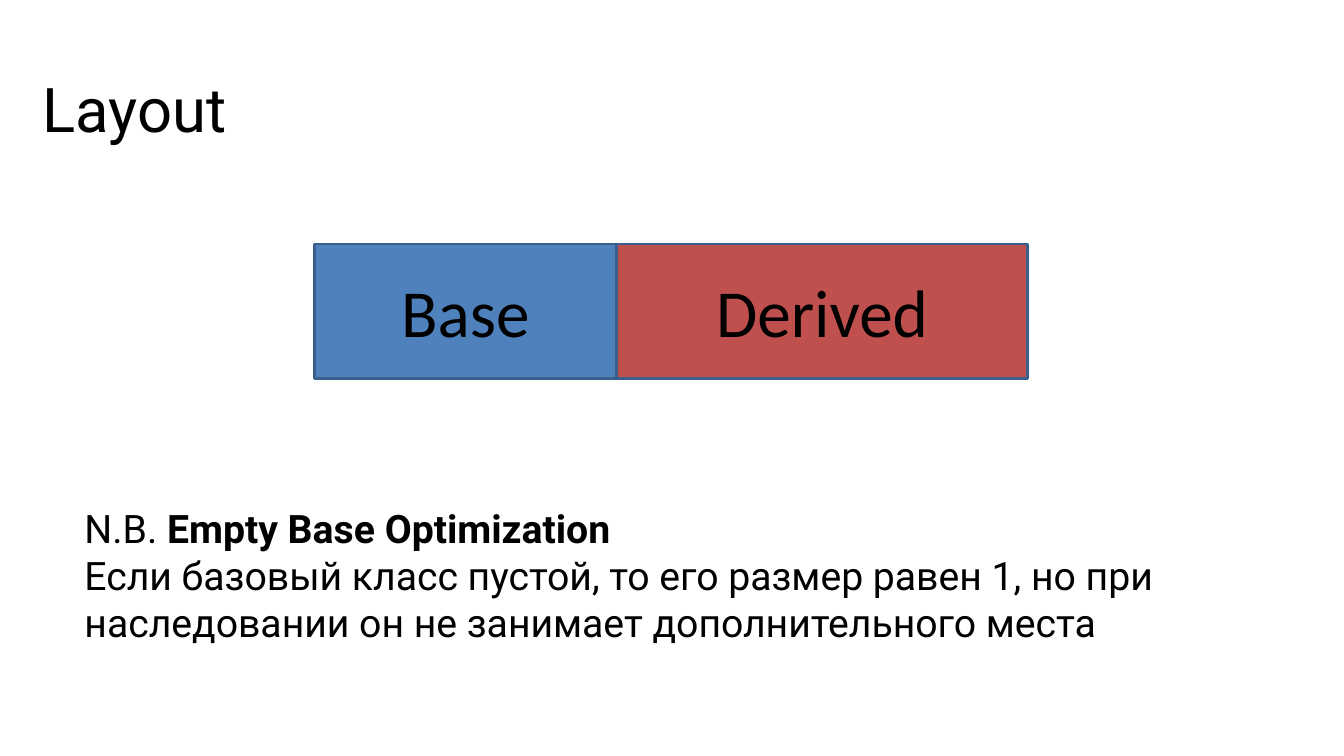
from dataclasses import dataclass

from pptx import Presentation
from pptx.dml.color import RGBColor
from pptx.enum.shapes import MSO_SHAPE as Preset
from pptx.enum.text import MSO_ANCHOR as Anchor, PP_ALIGN as Align
from pptx.util import Cm, Pt


@dataclass(frozen=True)
class Theme:
    ink: RGBColor = RGBColor(0x00, 0x00, 0x00)
    base: RGBColor = RGBColor(0x4F, 0x81, 0xBD)
    derived: RGBColor = RGBColor(0xC0, 0x50, 0x4D)
    outline: RGBColor = RGBColor(0x3A, 0x5F, 0x8C)
    text_font: str = "Roboto"
    block_font: str = "Calibri"
    title_size: Pt = Pt(44)
    note_size: Pt = Pt(28)
    block_size: Pt = Pt(48)
    outline_width: Pt = Pt(2)


THEME = Theme()


def style(run, font, size, bold=False):
    run.font.name = font
    run.font.size = size
    run.font.bold = bold
    run.font.color.rgb = THEME.ink


def clear_margins(frame):
    frame.margin_left = frame.margin_top = 0
    frame.margin_right = frame.margin_bottom = 0
    frame.vertical_anchor = Anchor.TOP
    frame.word_wrap = True


def place_title(slide, text, left, top, width, height):
    heading = slide.shapes.title
    heading.left, heading.top = left, top
    heading.width, heading.height = width, height
    frame = heading.text_frame
    frame.text = text
    clear_margins(frame)
    frame.paragraphs[0].alignment = Align.LEFT
    style(frame.paragraphs[0].runs[0], THEME.text_font, THEME.title_size)


def draw_memory(slide, parts, left, top, width, height):
    total = sum(share for _, share, _ in parts)
    for name, share, color in parts:
        part_width = int(width * share / total)
        block = slide.shapes.add_shape(
            Preset.RECTANGLE, left, top, part_width, height)
        block.shadow.inherit = False
        block.fill.solid()
        block.fill.fore_color.rgb = color
        block.line.color.rgb = THEME.outline
        block.line.width = THEME.outline_width
        frame = block.text_frame
        frame.text = name
        frame.vertical_anchor = Anchor.MIDDLE
        label = frame.paragraphs[0]
        label.alignment = Align.CENTER
        style(label.runs[0], THEME.block_font, THEME.block_size)
        left += part_width


def write_note(slide, lines, left, top, width, height):
    frame = slide.shapes.add_textbox(left, top, width, height).text_frame
    clear_margins(frame)
    for number, line in enumerate(lines):
        paragraph = frame.add_paragraph() if number else frame.paragraphs[0]
        for text, bold in line:
            run = paragraph.add_run()
            run.text = text
            style(run, THEME.text_font, THEME.note_size, bold)


def build_layout_slide(deck):
    slide = deck.slides.add_slide(deck.slide_layouts[5])
    place_title(slide, "Layout", Cm(1.07), Cm(1.78), Cm(17.68), Cm(1.93))
    memory = [("Base", 3, THEME.base), ("Derived", 4.08, THEME.derived)]
    draw_memory(slide, memory, Cm(7.92), Cm(6.15), Cm(17.98), Cm(3.38))
    note = [
        [("N.B. ", False), ("Empty Base Optimization", True)],
        [("Если базовый класс пустой, то его размер равен 1, но при "
          "наследовании он не занимает дополнительного места", False)],
    ]
    write_note(slide, note, Cm(2.13), Cm(12.7), Cm(30.05), Cm(3.58))


def main():
    deck = Presentation()
    deck.slide_width, deck.slide_height = Cm(33.87), Cm(19.05)
    build_layout_slide(deck)
    deck.save("out.pptx")


if __name__ == "__main__":
    main()
